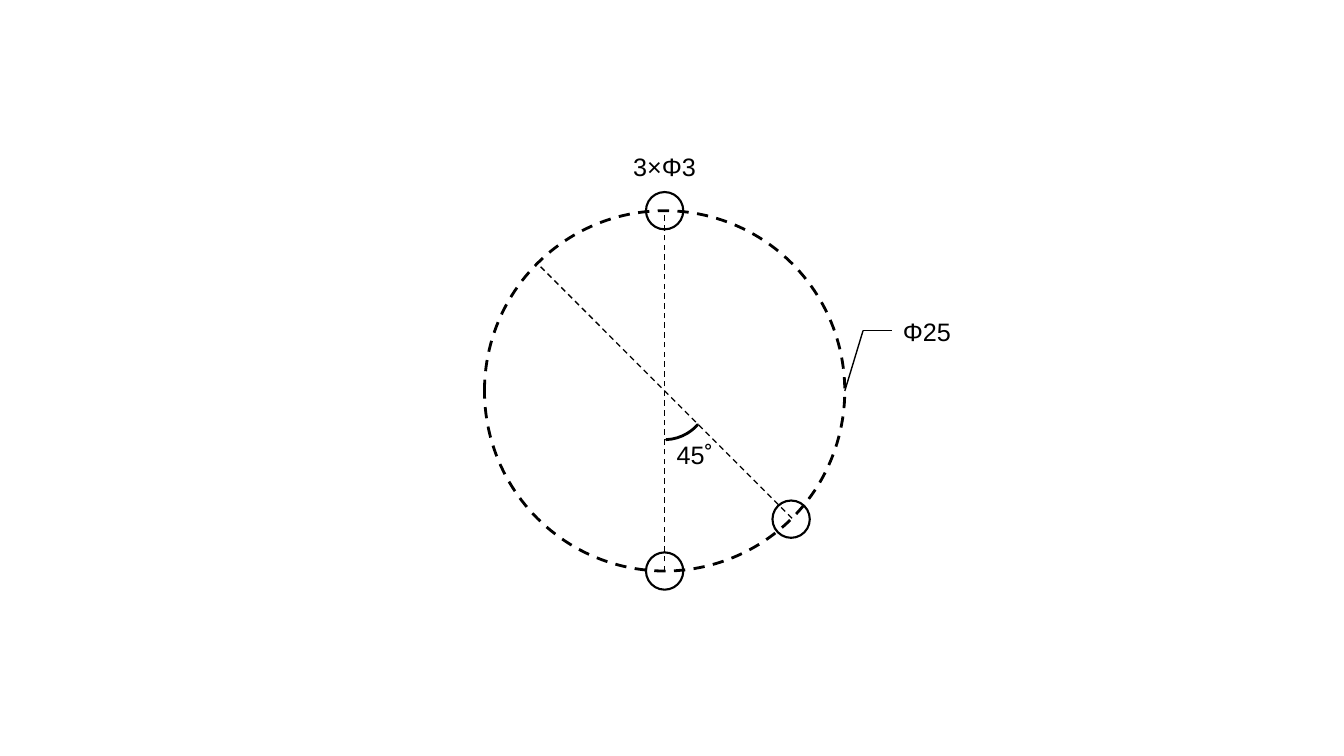
import math

from lxml import etree
from pptx import Presentation
from pptx.dml.color import RGBColor
from pptx.enum import dml, shapes, text
from pptx.oxml.ns import qn
from pptx.util import Cm, Pt

BLACK = "000000"
CENTER = (16.75, 9.85)
RING_RADIUS = 4.54
HOLE_RADIUS = 0.47
HOLE_ANGLES = [270, 90, 45.4]  # degrees clockwise from the right
DIAMETERS = [(90, 270), (45, 225)]
LEADER_KNEE, LEADER_END = (21.75, 8.33), (22.48, 8.33)
ARC = {"size": (2.46, 2.31), "angles": (315.67, 358)}
LABELS = [  # wording, centre, size, side inset, top inset, wrap
    ("3×Φ3", (16.75, 4.2), (2.2, 1.02), 0.13, 0.13, False),
    ("Φ25", (23.36, 8.34), (1.8, 1.02), 0.13, 0.13, False),
    ("45˚", (17.51, 11.45), (1.45, 0.97), 0.1, 0.1, True),
]


def color(value):
    return RGBColor.from_string(value)


def ring_point(angle):
    radians = math.radians(angle)
    return (CENTER[0] + RING_RADIUS * math.cos(radians),
            CENTER[1] + RING_RADIUS * math.sin(radians))


def box(center, size):
    """Left, top, width and height of a box placed by its centre."""
    lengths = [middle - side / 2 for middle, side in zip(center, size)]
    return [Cm(length) for length in (*lengths, *size)]


def set_line(line, width, dashed=False):
    line.color.rgb = color(BLACK)
    line.width = Pt(width)
    if dashed:
        line.dash_style = dml.MSO_LINE.DASH


def add_circle(slide, center, radius, width, dashed=False):
    circle = slide.shapes.add_shape(
        shapes.MSO_SHAPE.OVAL, *box(center, (2 * radius, 2 * radius)))
    circle.shadow.inherit = False
    circle.fill.background()
    set_line(circle.line, width, dashed)


def add_line(slide, start, end, dashed=False):
    connector = slide.shapes.add_connector(
        shapes.MSO_CONNECTOR.STRAIGHT, *[Cm(length) for length in (*start, *end)])
    set_line(connector.line, 1, dashed)
    etree.SubElement(connector.element.spPr, qn("a:effectLst"))


def add_angle_arc(slide):
    arc = slide.shapes.add_shape(
        shapes.MSO_SHAPE.BLOCK_ARC, *box(CENTER, ARC["size"]))
    arc.rotation = 90
    for index, angle in enumerate(ARC["angles"]):
        arc.adjustments[index] = angle * 0.6  # 60000 units a degree, scaled by 100000
    arc.adjustments[2] = 0
    arc.shadow.inherit = False
    arc.fill.solid()
    arc.fill.fore_color.rgb = color(BLACK)
    set_line(arc.line, 2)


def add_label(slide, wording, center, size, side, top, wrap):
    frame = slide.shapes.add_textbox(*box(center, size)).text_frame
    frame_format = {
        "margin_left": Cm(side), "margin_right": Cm(side),
        "margin_top": Cm(top), "margin_bottom": Cm(top),
        "word_wrap": wrap, "auto_size": text.MSO_AUTO_SIZE.SHAPE_TO_FIT_TEXT,
    }
    for name, value in frame_format.items():
        setattr(frame, name, value)
    paragraph = frame.paragraphs[0]
    paragraph.alignment = text.PP_ALIGN.CENTER
    run = paragraph.add_run()
    run.text = wording
    for name, value in {"name": "Arial", "size": Pt(18)}.items():
        setattr(run.font, name, value)
    run.font.color.rgb = color(BLACK)


def main():
    presentation = Presentation()
    presentation.slide_width, presentation.slide_height = Cm(33.87), Cm(19.05)
    slide = presentation.slides.add_slide(presentation.slide_layouts[6])

    add_circle(slide, CENTER, RING_RADIUS, 2, dashed=True)
    for angle in HOLE_ANGLES:
        add_circle(slide, ring_point(angle), HOLE_RADIUS, 1.5)
    for start, end in DIAMETERS:
        add_line(slide, ring_point(start), ring_point(end), dashed=True)
    add_line(slide, ring_point(0), LEADER_KNEE)
    add_line(slide, LEADER_KNEE, LEADER_END)
    add_angle_arc(slide)
    for label in LABELS:
        add_label(slide, *label)

    presentation.save("out.pptx")


if __name__ == "__main__":
    main()
